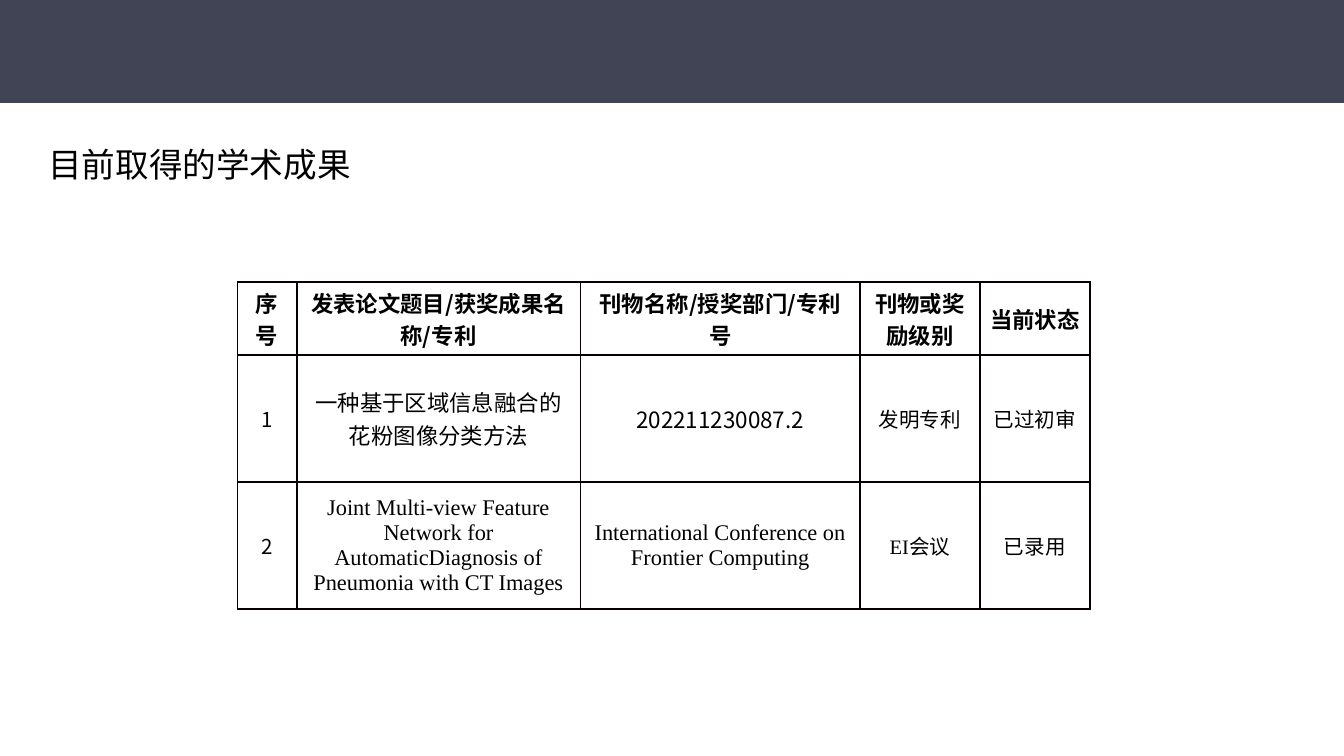
import pptx
import pptx.dml.color
import pptx.enum.shapes
import pptx.enum.text
import pptx.oxml
import pptx.oxml.ns
import pptx.util

INK = {"band": "414455", "text": "000000", "rule": "080000"}
SANS = "Noto Sans CJK SC"
SERIF = "Times New Roman"
ALIGN = pptx.enum.text.PP_ALIGN
ANCHOR = pptx.enum.text.MSO_ANCHOR
COLS, ROWS = 100, 56.25

HEAD = ["序号", "发表论文题目/获奖成果名称/专利", "刊物名称/授奖部门/专利号", "刊物或奖励级别", "当前状态"]
BODY = [
    ["1", "一种基于区域信息融合的花粉图像分类方法", "202211230087.2", "发明专利", "已过初审"],
    ["2", "Joint Multi-view Feature Network for AutomaticDiagnosis of Pneumonia with CT Images",
     "International Conference on Frontier Computing", [("EI", SERIF), ("会议", SANS)], "已录用"],
]
SIZES = [11, 12, 12, 11, 11]


def tint(name):
    return pptx.dml.color.RGBColor.from_string(INK[name])


def grid(*units):
    return [pptx.util.Inches(unit / 10) for unit in units]


def write(frame, text, size=12, font=SANS, bold=False, align=ALIGN.LEFT):
    frame.word_wrap = True
    para = frame.paragraphs[0]
    para.alignment = align
    parts = [(text, font)] if isinstance(text, str) else text
    for words, face in parts:
        run = para.add_run()
        run.text = words
        run.font.size = pptx.util.Pt(size)
        run.font.bold = bold
        run.font.name = face
        run.font.color.rgb = tint("text")
        east = pptx.oxml.parse_xml(f'<a:ea {pptx.oxml.ns.nsdecls("a")} typeface="{SANS}"/>')
        run.font._element.find(pptx.oxml.ns.qn("a:latin")).addnext(east)


class Page:
    def __init__(self):
        self.deck = pptx.Presentation()
        self.deck.slide_width, self.deck.slide_height = grid(COLS, ROWS)
        self.slide = self.deck.slides.add_slide(self.deck.slide_layouts[5])

    def band(self, high):
        kind = pptx.enum.shapes.MSO_SHAPE.RECTANGLE
        bar = self.slide.shapes.add_shape(kind, *grid(0, 0, COLS, high))
        bar.shadow.inherit = False
        bar.fill.solid()
        bar.fill.fore_color.rgb = tint("band")
        bar.line.fill.background()

    def title(self, text, left, top, wide, high):
        box = self.slide.shapes.title
        box.left, box.top, box.width, box.height = grid(left, top, wide, high)
        frame = box.text_frame
        frame.auto_size = pptx.enum.text.MSO_AUTO_SIZE.NONE
        frame.vertical_anchor = ANCHOR.TOP
        inset = pptx.util.Inches(0.05)
        frame.margin_left = frame.margin_right = inset
        frame.margin_top = frame.margin_bottom = inset
        write(frame, text, size=18, font="Calibri")

    def rule(self, cell):
        props = cell._tc.get_or_add_tcPr()
        for side in "LRTB":
            props.append(pptx.oxml.parse_xml(
                f'<a:ln{side} {pptx.oxml.ns.nsdecls("a")} w="12700"><a:solidFill>'
                f'<a:srgbClr val="{INK["rule"]}"/></a:solidFill></a:ln{side}>'))

    def cell(self, cell, text, **style):
        self.rule(cell)
        cell.fill.background()
        cell.vertical_anchor = ANCHOR.MIDDLE
        cell.margin_left = cell.margin_right = pptx.util.Inches(0.07)
        cell.margin_top = cell.margin_bottom = 0
        write(cell.text_frame, text, align=ALIGN.CENTER, **style)

    def table(self, left, top, wides, highs):
        place = grid(left, top, sum(wides), sum(highs))
        table = self.slide.shapes.add_table(len(highs), len(wides), *place).table
        table.first_row = table.horz_banding = False
        for col, wide in zip(table.columns, grid(*wides)):
            col.width = wide
        for row, high in zip(table.rows, grid(*highs)):
            row.height = high
        for c, text in enumerate(HEAD):
            self.cell(table.cell(0, c), text, bold=True)
        for r, line in enumerate(BODY, 1):
            for c, text in enumerate(line):
                font = SERIF if r == 2 and c in (1, 2) else SANS
                self.cell(table.cell(r, c), text, size=SIZES[c], font=font)


def main():
    page = Page()
    page.band(7.65)
    page.table(17.68, 21, [4.4, 21.1, 20.83, 8.9, 8.2], [5.4, 9.45, 9.45])
    page.title("目前取得的学术成果", 3.1, 10.2, 33.3, 4)
    page.deck.save("out.pptx")


if __name__ == "__main__":
    main()
